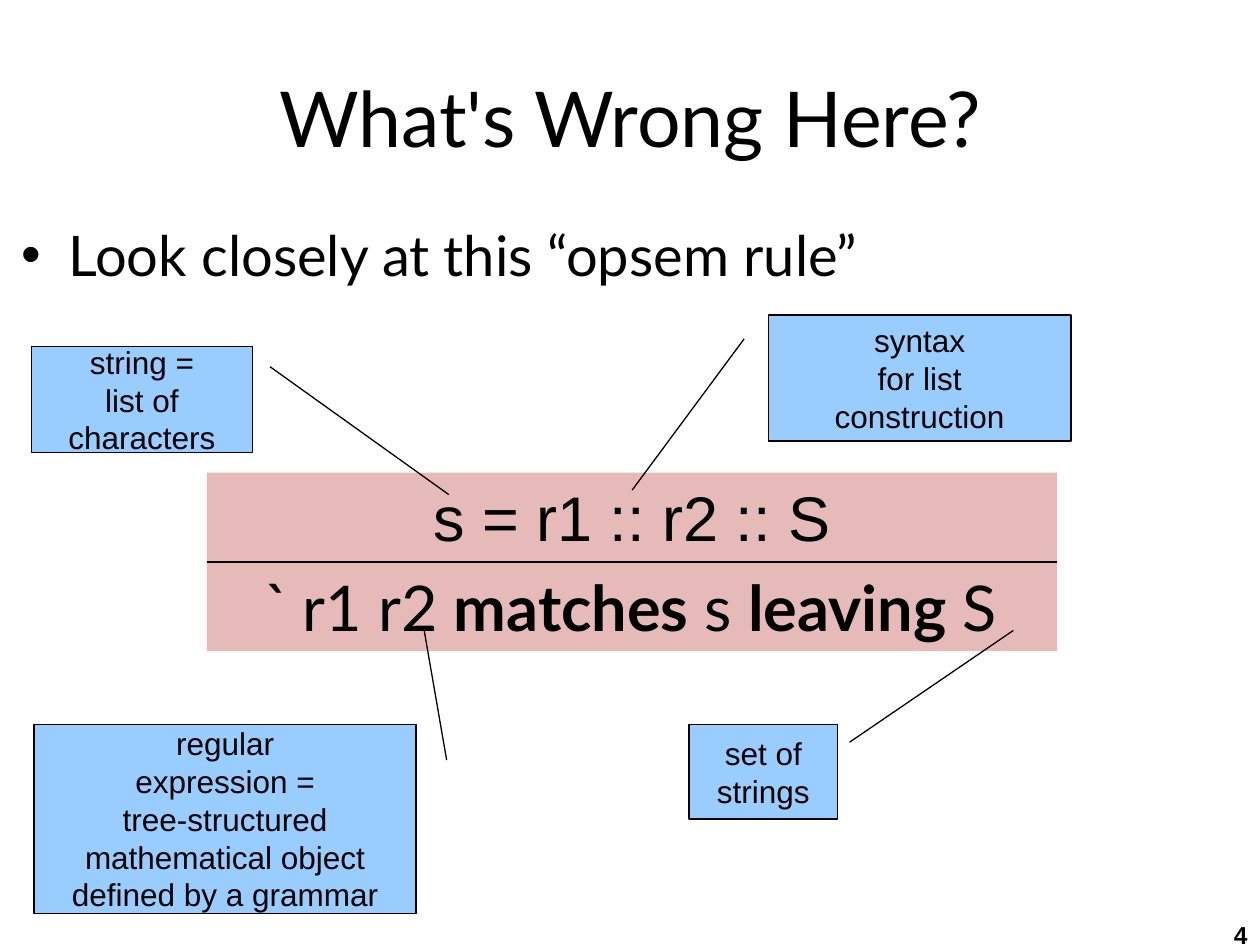
from dataclasses import dataclass

from lxml import etree
from pptx import Presentation
from pptx.dml.color import RGBColor
from pptx.enum.shapes import MSO_CONNECTOR, MSO_SHAPE
from pptx.enum.text import MSO_ANCHOR, PP_ALIGN
from pptx.oxml.ns import qn
from pptx.util import Cm, Pt


@dataclass(frozen=True)
class Theme:
    ink: RGBColor = RGBColor(0x00, 0x00, 0x00)
    rule: RGBColor = RGBColor(0xE5, 0xBA, 0xB9)
    callout: RGBColor = RGBColor(0x99, 0xCC, 0xFF)
    heading: str = "Lato"
    label: str = "Arial"
    tick: str = "Roboto"
    title_size: Pt = Pt(44)
    body_size: Pt = Pt(32)
    rule_size: Pt = Pt(36)
    label_size: Pt = Pt(18)
    number_size: Pt = Pt(14)


theme = Theme()


def style(para, size, name, align=PP_ALIGN.CENTER):
    para.alignment = align
    para.font.size = size
    para.font.name = name
    para.font.color.rgb = theme.ink


def add_text(left, top, width, height, text, anchor=MSO_ANCHOR.TOP, margin=True):
    """Add a wrapping text box and return its only paragraph."""
    box = page.shapes.add_textbox(Cm(left), Cm(top), Cm(width), Cm(height))
    frame = box.text_frame
    frame.word_wrap = True
    frame.vertical_anchor = anchor
    if not margin:
        frame.margin_left = frame.margin_right = frame.margin_top = frame.margin_bottom = 0
    frame.text = text
    return frame.paragraphs[0]


deck = Presentation()
deck.slide_width, deck.slide_height = Cm(25.4), Cm(19.05)
page = deck.slides.add_slide(deck.slide_layouts[6])

# Title and bullet
title = add_text(0.43, 0.76, 24.56, 3.18, "What's Wrong Here?", MSO_ANCHOR.MIDDLE, margin=False)
style(title, theme.title_size, theme.heading)

bullet = add_text(0.43, 4.45, 24.56, 14.17, "Look closely at this “opsem rule”", margin=False)
style(bullet, theme.body_size, theme.heading, PP_ALIGN.LEFT)
bullet.space_before = Pt(8)
properties = bullet._p.get_or_add_pPr()
properties.set("marL", str(Cm(0.95)))
properties.set("indent", str(Cm(-0.95)))
mark_font = etree.Element(qn("a:buFont"), typeface=theme.label)
mark = etree.Element(qn("a:buChar"), char="•")
properties.find(qn("a:spcBef")).addnext(mark_font)
mark_font.addnext(mark)

# Inference rule: conclusion below the bar, premise above it
rule_left, rule_top, rule_width, row_height = 4.17, 9.53, 17.14, 1.8
bar_top = rule_top + row_height
conclusion = [
    ("`", theme.tick, False),
    (" r1 r2 ", theme.heading, False),
    ("matches", theme.heading, True),
    (" s ", theme.heading, False),
    ("leaving", theme.heading, True),
    (" S", theme.heading, False),
]
premise = [("s = r1 :: r2 :: S", theme.label, False)]

rule = page.shapes.add_group_shape()
for top, spans in ((bar_top, conclusion), (rule_top, premise)):
    row = rule.shapes.add_shape(
        MSO_SHAPE.RECTANGLE, Cm(rule_left), Cm(top), Cm(rule_width), Cm(row_height)
    )
    row.shadow.inherit = False
    row.fill.solid()
    row.fill.fore_color.rgb = theme.rule
    row.line.fill.background()
    row.text_frame.word_wrap = True
    row.text_frame.vertical_anchor = MSO_ANCHOR.TOP
    para = row.text_frame.paragraphs[0]
    style(para, theme.rule_size, spans[0][1])
    para.space_before = Pt(7)
    for text, name, bold in spans:
        span = para.add_run()
        span.text = text
        span.font.name = name
        span.font.bold = bold

bar = rule.shapes.add_connector(
    MSO_CONNECTOR.STRAIGHT, Cm(rule_left), Cm(bar_top), Cm(rule_left + rule_width), Cm(bar_top)
)
bar.line.color.rgb = theme.ink
bar.line.width = Pt(1.5)
etree.SubElement(bar._element.spPr, qn("a:effectLst"))

# Callouts: place, mirrored or not, pointer tip (y, x as shares of the box), lines
callouts = [
    ((0.64, 6.99, 4.45, 2.13), True, (1.4, -0.89), ["string =", "list of characters"]),
    ((0.69, 14.6, 7.7, 3.81), True, (-0.51, -0.02),
     ["regular", "expression =", "tree-structured mathematical object defined by a grammar"]),
    ((13.89, 14.6, 3, 1.91), True, (-0.99, -1.18), ["set of", "strings"]),
    ((15.49, 6.35, 6.1, 2.54), False, (1.39, -0.45), ["syntax", "for list", "construction"]),
]
for place, mirrored, tip, lines in callouts:
    callout = page.shapes.add_shape(MSO_SHAPE.LINE_CALLOUT_1, *map(Cm, place))
    callout.shadow.inherit = False
    for index, share in enumerate((0.19, -0.08, *tip)):
        callout.adjustments[index] = share
    if mirrored:
        callout._element.spPr.find(qn("a:xfrm")).set("flipH", "1")
    callout.fill.solid()
    callout.fill.fore_color.rgb = theme.callout
    callout.line.color.rgb = theme.ink
    callout.line.width = Pt(0)
    frame = callout.text_frame
    frame.word_wrap = True
    frame.vertical_anchor = MSO_ANCHOR.MIDDLE
    frame.text = "\n".join(lines)
    for para in frame.paragraphs:
        style(para, theme.label_size, theme.label)

# Slide number
number = add_text(19.89, 18.42, 5.51, 0.86, "4")
style(number, theme.number_size, theme.label, PP_ALIGN.RIGHT)
number.font.bold = True

deck.save("out.pptx")
